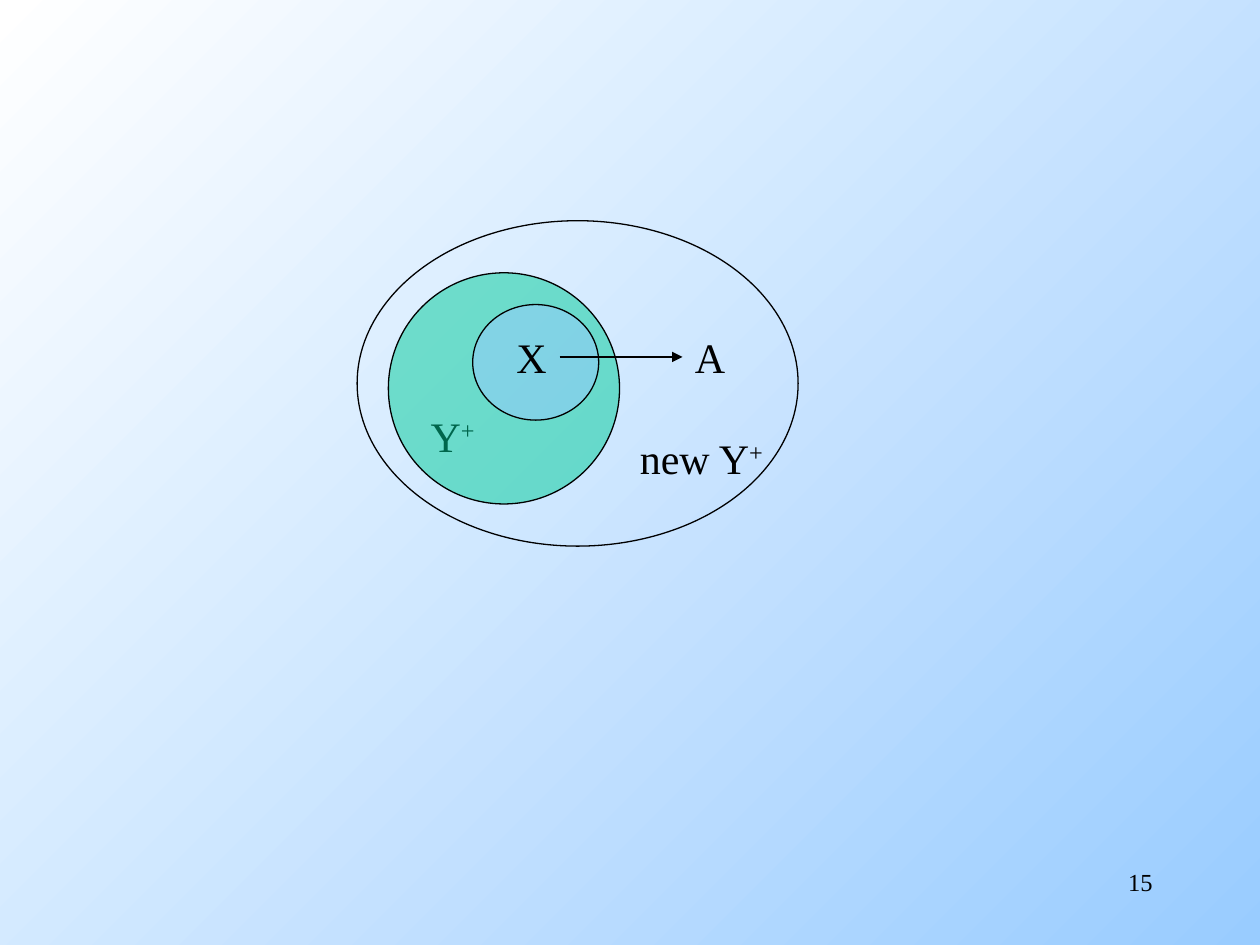
from lxml.etree import SubElement
from pptx import Presentation
from pptx.dml.color import RGBColor
from pptx.enum.shapes import MSO_CONNECTOR as CONN, MSO_SHAPE as SHAPE
from pptx.enum.text import MSO_AUTO_SIZE as AUTO, PP_ALIGN as ALIGN
from pptx.oxml.ns import qn
from pptx.util import Cm, Pt

BLACK = RGBColor(0x00, 0x00, 0x00)
WHITE = RGBColor(0xFF, 0xFF, 0xFF)
GREEN = RGBColor(0x00, 0xCC, 0x99)
SKY = RGBColor(0x99, 0xCC, 0xFF)


def add_run(p, text, size=24, color=BLACK, font="Times New Roman", sup=False):
    r = p.add_run()
    r.text = text
    r.font.name = font
    r.font.size = Pt(size)
    r.font.color.rgb = color
    if sup:
        r._r.get_or_add_rPr().set("baseline", "30000")


class Diagram:
    line_width = Pt(0.75)

    def __init__(self, s):
        self.s = s

    def background(self, start, end):
        fill = self.s.background.fill
        fill.gradient()
        fill.gradient_angle = 315
        for stop, color, position in zip(fill.gradient_stops, (start, end), (0, 1)):
            stop.color.rgb = color
            stop.position = position

    def label(self, x, y, w, text, sup=None, size=24, align=ALIGN.LEFT, wrap=False):
        sp = self.s.shapes.add_textbox(Cm(x), Cm(y), Cm(w), Cm(1.27))
        tf = sp.text_frame
        tf.word_wrap = wrap
        tf.auto_size = AUTO.NONE if wrap else AUTO.SHAPE_TO_FIT_TEXT
        p = tf.paragraphs[0]
        p.alignment = align
        add_run(p, text, size=size)
        if sup:
            add_run(p, sup, size=size, sup=True)
        return sp

    def ellipse(self, x, y, w, h, color=None):
        sp = self.s.shapes.add_shape(SHAPE.OVAL, Cm(x), Cm(y), Cm(w), Cm(h))
        sp.shadow.inherit = False
        sp.line.color.rgb = BLACK
        sp.line.width = self.line_width
        if color is None:
            sp.fill.background()
            return
        sp.fill.solid()
        sp.fill.fore_color.rgb = color
        clr = sp._element.spPr.find(qn("a:solidFill")).find(qn("a:srgbClr"))
        SubElement(clr, qn("a:alpha"), val="50000")

    def arrow(self, source, target):
        cn = self.s.shapes.add_connector(CONN.STRAIGHT, 0, 0, 0, 0)
        cn.begin_connect(source, 3)
        cn.end_connect(target, 1)
        cn.line.color.rgb = BLACK
        cn.line.width = self.line_width
        SubElement(cn.line._get_or_add_ln(), qn("a:tailEnd"), type="triangle")
        SubElement(cn._element.spPr, qn("a:effectLst"))


def main():
    prs = Presentation()
    prs.slide_width, prs.slide_height = Cm(25.4), Cm(19.05)
    d = Diagram(prs.slides.add_slide(prs.slide_layouts[6]))
    d.background(WHITE, SKY)
    d.label(18.21, 17.35, 5.28, "15", size=14, align=ALIGN.RIGHT, wrap=True)
    d.label(8.43, 8.15, 1.45, "Y", sup="+")
    d.ellipse(7.83, 5.5, 4.66, 4.66, GREEN)
    d.label(12.65, 8.59, 3.07, "new Y", sup="+")
    d.ellipse(7.2, 4.45, 8.89, 6.56)
    d.ellipse(9.53, 6.14, 2.54, 2.33, SKY)
    x = d.label(10.16, 6.56, 1.12, "X")
    a = d.label(13.76, 6.56, 1.12, "A")
    d.arrow(x, a)
    prs.save("out.pptx")


if __name__ == "__main__":
    main()
